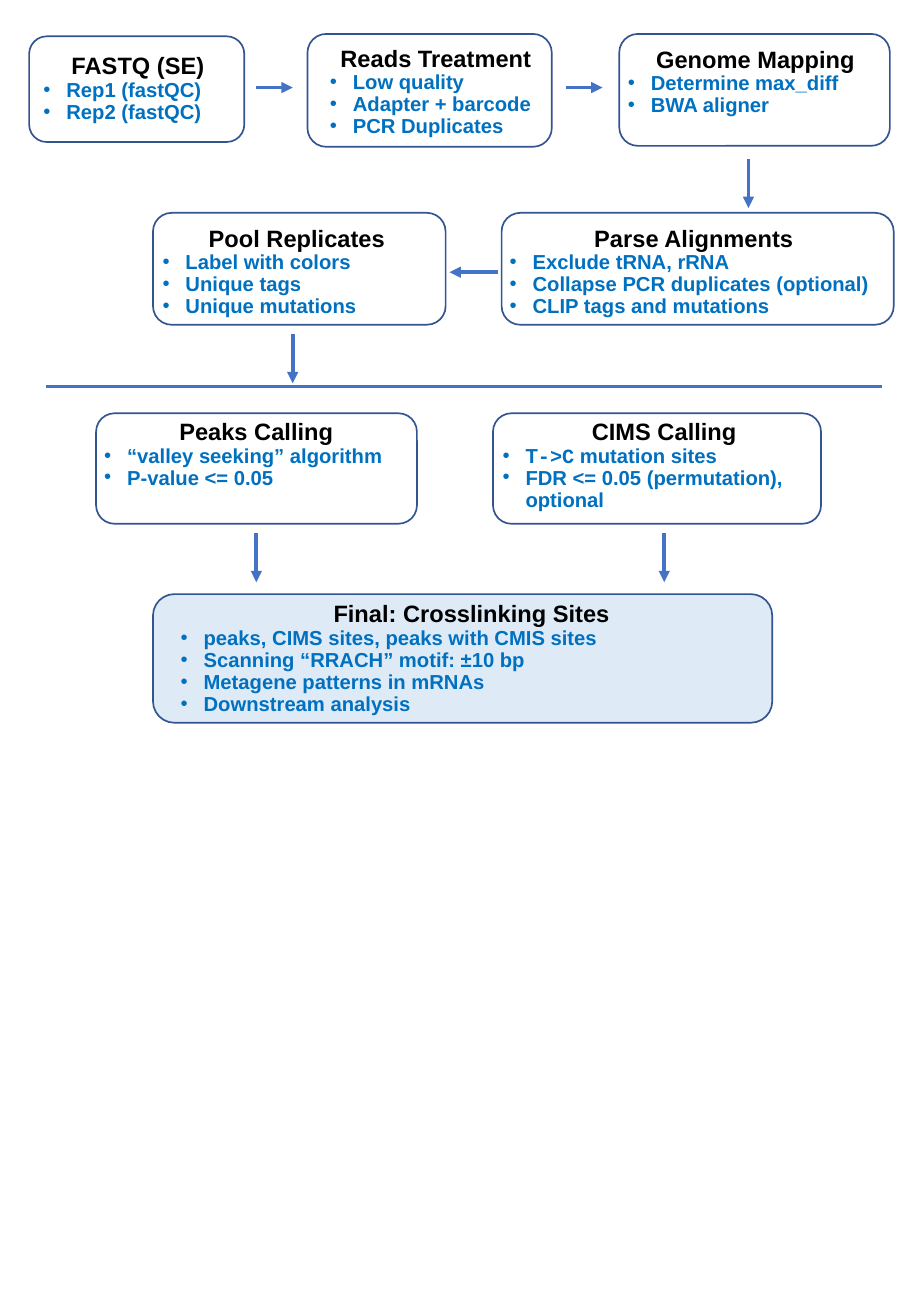
"""Build a one-page flowchart of a CLIP sequencing analysis pipeline."""
from lxml.etree import SubElement
from pptx import Presentation
from pptx.dml.color import RGBColor
from pptx.enum.shapes import MSO_CONNECTOR, MSO_SHAPE
from pptx.enum.text import MSO_AUTO_SIZE, PP_ALIGN
from pptx.oxml.ns import qn
from pptx.util import Cm, Pt

BLACK = RGBColor(0x00, 0x00, 0x00)
TEXT_BLUE = RGBColor(0x00, 0x70, 0xC0)
BORDER = RGBColor(0x32, 0x54, 0x91)
ARROW = RGBColor(0x44, 0x72, 0xC4)
PALE_BLUE = RGBColor(0xDE, 0xEB, 0xF7)

FONT = "Arial"
MONO = "Courier New"

STEPS = [
    ("FASTQ (SE)", (0.61, 0.76, 4.5, 2.21), (0.66, 0.94, 4.45, 2.06),
     ["Rep1 (fastQC)", "Rep2 (fastQC)"], None),
    ("Genome Mapping", (12.95, 0.71, 5.66, 2.34), (12.88, 0.81, 5.84, 1.78),
     ["Determine max_diff", "BWA aligner"], None),
    ("Reads Treatment", (6.43, 0.71, 5.11, 2.36), (6.65, 0.79, 4.93, 2.24),
     ["Low quality", "Adapter + barcode", "PCR Duplicates"], None),
    ("Peaks Calling", (2.01, 8.64, 6.71, 2.31), (1.93, 8.59, 6.86, 1.78),
     ["“valley seeking” algorithm", "P-value <= 0.05"], None),
    ("CIMS Calling", (10.31, 8.64, 6.86, 2.31), (10.26, 8.59, 7.26, 2.24),
     [[("T", FONT), ("->C", MONO), (" mutation sites", FONT)],
      "FDR <= 0.05 (permutation), optional"], None),
    ("Parse Alignments", (10.49, 4.45, 8.2, 2.34), (10.41, 4.55, 8.2, 2.72),
     ["Exclude tRNA, rRNA", "Collapse PCR duplicates (optional)",
      "CLIP tags and mutations"], None),
    ("Pool Replicates", (3.2, 4.45, 6.12, 2.34), (3.15, 4.55, 6.12, 2.24),
     ["Label with colors", "Unique tags", "Unique mutations"], None),
    ("Final: Crosslinking Sites", (3.2, 12.42, 12.95, 2.69), (3.53, 12.4, 12.67, 2.72),
     ["peaks, CIMS sites, peaks with CMIS sites", "Scanning “RRACH” motif: ±10 bp",
      "Metagene patterns in mRNAs", "Downstream analysis"], PALE_BLUE),
]

ARROWS = [
    (5.36, 1.83, 0.76, 0),
    (11.84, 1.83, 0.76, 0),
    (15.65, 3.33, 0, 1.02),
    (10.41, 5.69, -1.01, 0),
    (6.12, 6.99, 0, 1.02),
    (5.36, 11.15, 0, 1.02),
    (13.89, 11.15, 0, 1.02),
]


class Flowchart:
    """Draw flowchart elements in one style on the current slide."""

    def __init__(self, slide):
        self.shapes = slide.shapes

    def step(self, title, box, area, items, fill):
        """Add a rounded box grouped with its title and bullets."""
        group = self.shapes.add_group_shape()
        self.box(group.shapes, box, fill)
        sp = group.shapes.add_textbox(*map(Cm, area))
        tf = sp.text_frame
        tf.word_wrap = True
        tf.auto_size = MSO_AUTO_SIZE.SHAPE_TO_FIT_TEXT
        p = tf.paragraphs[0]
        p.alignment = PP_ALIGN.CENTER
        self.run(p, title, 14, BLACK)
        for item in items:
            self.bullet(tf.add_paragraph(), item)

    def box(self, shapes, box, fill):
        """Add an outlined rounded rectangle."""
        sp = shapes.add_shape(MSO_SHAPE.ROUNDED_RECTANGLE, *map(Cm, box))
        sp.shadow.inherit = False
        sp.line.color.rgb = BORDER
        sp.line.width = Pt(1)
        if fill is None:
            sp.fill.background()
        else:
            sp.fill.solid()
            sp.fill.fore_color.rgb = fill

    def bullet(self, p, item):
        """Fill a paragraph as a bulleted line."""
        p.line_spacing = Pt(13)
        pPr = p._p.get_or_add_pPr()
        indent = Cm(0.48)
        pPr.set("marL", str(indent))
        pPr.set("indent", str(-indent))
        SubElement(pPr, qn("a:buFont")).set("typeface", FONT)
        SubElement(pPr, qn("a:buChar")).set("char", "•")
        parts = [(item, FONT)] if isinstance(item, str) else item
        for text, font in parts:
            self.run(p, text, 12, TEXT_BLUE, font)

    def run(self, p, text, size, color, font=FONT):
        """Add one bold run of text."""
        r = p.add_run()
        r.text = text
        r.font.name = font
        r.font.size = Pt(size)
        r.font.bold = True
        r.font.color.rgb = color

    def line(self, x, y, dx, dy, width):
        """Add a straight line and return its line properties."""
        ends = map(Cm, (x, y, x + dx, y + dy))
        cxn = self.shapes.add_connector(MSO_CONNECTOR.STRAIGHT, *ends)
        cxn.line.color.rgb = ARROW
        cxn.line.width = Pt(width)
        SubElement(cxn._element.spPr, qn("a:effectLst"))
        return cxn.line

    def arrow(self, x, y, dx, dy):
        """Add a line with a triangular head at its end."""
        ln = self.line(x, y, dx, dy, 2.25)._get_or_add_ln()
        SubElement(ln, qn("a:tailEnd")).set("type", "triangle")


def main():
    """Build and save the presentation."""
    prs = Presentation()
    prs.slide_width = Cm(19.05)
    prs.slide_height = Cm(27.51)
    s = prs.slides.add_slide(prs.slide_layouts[6])
    chart = Flowchart(s)
    for step in STEPS:
        chart.step(*step)
    for arrow in ARROWS:
        chart.arrow(*arrow)
    chart.line(0.97, 8.08, 17.47, 0, 1.5)
    prs.save("out.pptx")


if __name__ == "__main__":
    main()
